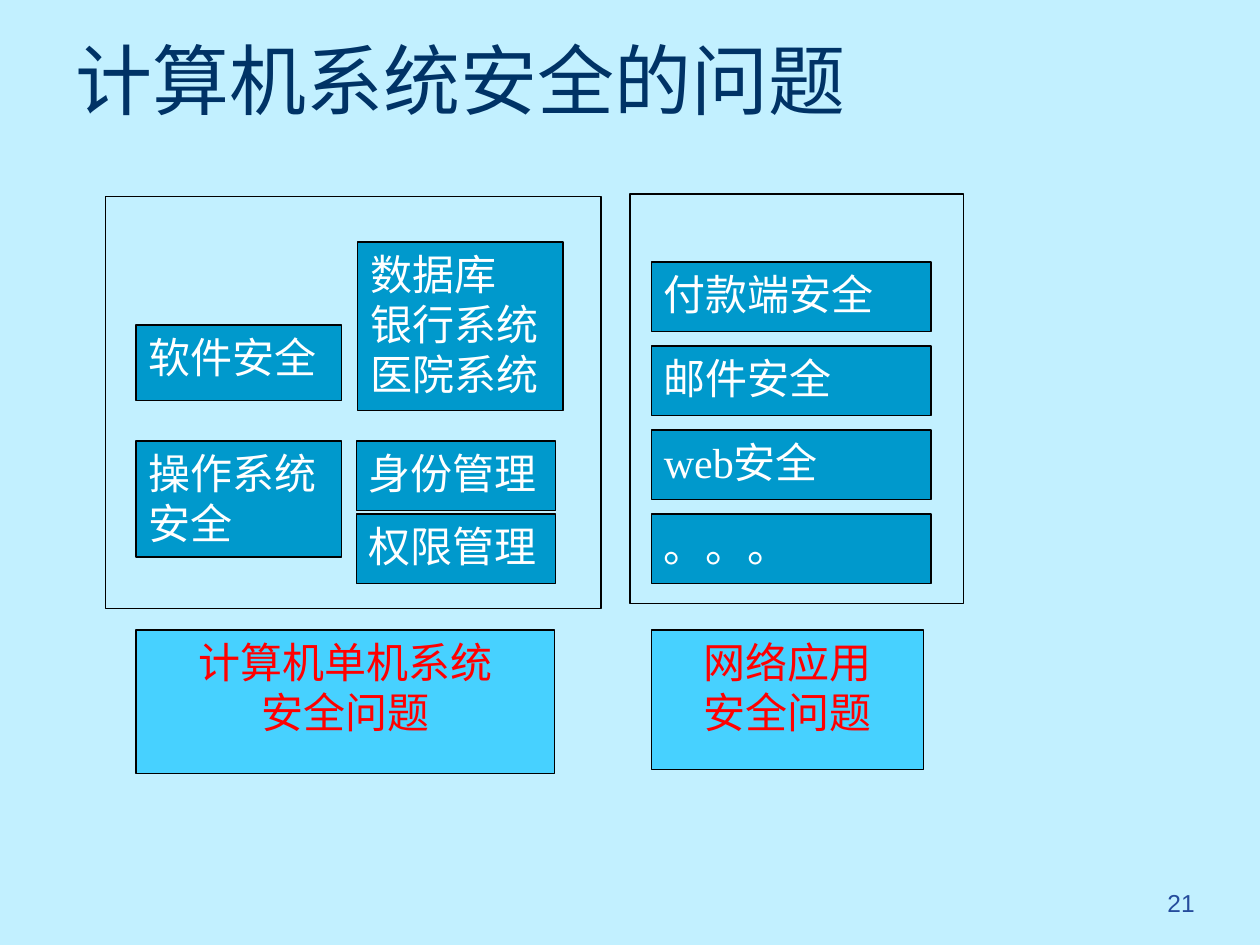
from pptx import Presentation
from pptx.dml.color import RGBColor
from pptx.enum.shapes import MSO_SHAPE
from pptx.enum.text import MSO_ANCHOR, PP_ALIGN
from pptx.util import Inches, Pt

COLORS = {
    "back": "C2F0FF", "title": "003366", "number": "254C9C",
    "item": "0099CC", "label": "47D1FF", "line": "000000",
    "white": "FFFFFF", "red": "FF0000",
}


def color(name):
    return RGBColor.from_string(COLORS[name])


def write(shape, text, size=24, font="Times New Roman", ink="white",
          align=PP_ALIGN.LEFT, anchor=MSO_ANCHOR.TOP, wrap=False):
    frame = shape.text_frame
    frame.word_wrap = wrap
    frame.vertical_anchor = anchor
    frame.text = text
    for para in frame.paragraphs:
        para.alignment = align
        style = para.runs[0].font
        style.size = Pt(size)
        style.name = font
        style.color.rgb = color(ink)


def add_text(slide, box, text, **form):
    shape = slide.shapes.add_textbox(*map(Inches, box))
    write(shape, text, wrap=True, **form)


def add_box(slide, box, fill=None, text=None, **form):
    shape = slide.shapes.add_shape(MSO_SHAPE.RECTANGLE, *map(Inches, box))
    shape.shadow.inherit = False
    if fill:
        shape.fill.solid()
        shape.fill.fore_color.rgb = color(fill)
    else:
        shape.fill.background()
    shape.line.color.rgb = color("line")
    shape.line.width = Pt(0.75)
    if text:
        write(shape, text, **form)


def add_label(slide, box, text):
    add_box(slide, box, "label", text, ink="red", align=PP_ALIGN.CENTER)


def add_local(slide, left, top, width, height):
    """Single computer: frame, two columns of items, label below."""
    add_box(slide, (left, top, width, height))
    first, second = left + 0.24, left + 1.99
    items = [
        (first, 1.02, 1.63, 0.6, "软件安全"),
        (second + 0.01, 0.36, 1.63, 1.34, "数据库\n银行系统\n医院系统"),
        (first, 1.94, 1.63, 0.92, "操作系统\n安全"),
        (second, 1.94, 1.58, 0.55, "身份管理"),
        (second, 2.52, 1.58, 0.55, "权限管理"),
    ]
    for x, y, wide, high, text in items:
        add_box(slide, (x, top + y, wide, high), "item", text)
    add_label(slide, (first, top + 3.44, 3.32, 1.14), "计算机单机系统\n安全问题")


def add_network(slide, left, top, width, height):
    """Network use: frame, evenly spaced stack of items, label below."""
    add_box(slide, (left, top, width, height))
    inner, step = left + 0.17, 2 / 3
    for i, text in enumerate(["付款端安全", "邮件安全", "web安全", "。。。"]):
        y = top + 0.54 + i * step
        add_box(slide, (inner, y, 2.22, 0.55), "item", text)
    add_label(slide, (inner, top + 3.46, 2.16, 1.11), "网络应用\n安全问题")


def main():
    deck = Presentation()
    deck.slide_width, deck.slide_height = Inches(10), Inches(7.5)
    slide = deck.slides.add_slide(deck.slide_layouts[6])
    slide.background.fill.solid()
    slide.background.fill.fore_color.rgb = color("back")

    # Title and page number
    add_text(slide, (0.5, 0, 9, 1.25), "计算机系统安全的问题",
             size=44, ink="title", anchor=MSO_ANCHOR.MIDDLE)
    add_text(slide, (7.5, 7, 2.08, 0.5), "21", size=14, font="Arial",
             ink="number", align=PP_ALIGN.RIGHT)

    # Two groups of problems
    add_local(slide, 0.84, 1.56, 3.93, 3.27)
    add_network(slide, 5, 1.54, 2.65, 3.25)
    deck.save("out.pptx")


if __name__ == "__main__":
    main()
